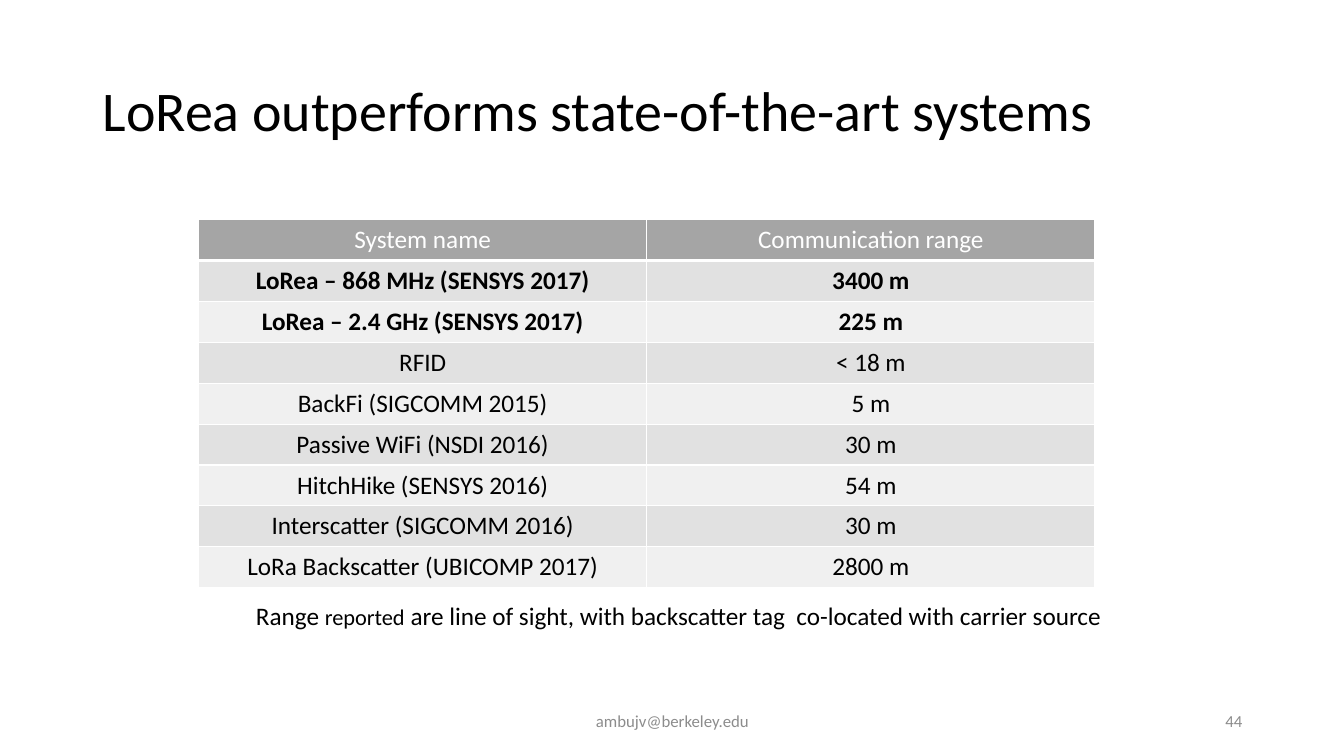
from dataclasses import dataclass

from lxml.etree import SubElement
from pptx import Presentation
from pptx.dml.color import RGBColor
from pptx.enum.text import MSO_ANCHOR, PP_ALIGN
from pptx.oxml.ns import qn
from pptx.util import Inches, Pt


@dataclass(frozen=True)
class Theme:
    font: str = "Calibri"
    ink: str = "000000"
    paper: str = "FFFFFF"
    muted: str = "8C8C8C"
    header: str = "A5A5A5"
    bands: tuple = ("E1E1E1", "F0F0F0")
    title_size: int = 40
    body_size: int = 18
    small_size: int = 16
    footer_size: int = 12
    rule: int = 1
    header_rule: int = 3


THEME = Theme()

SYSTEMS = [
    ("System name", "Communication range"),
    ("LoRea – 868 MHz (SENSYS 2017)", "3400 m"),
    ("LoRea – 2.4 GHz (SENSYS 2017)", "225 m"),
    ("RFID", "< 18 m"),
    ("BackFi (SIGCOMM 2015)", "5 m"),
    ("Passive WiFi (NSDI 2016)", "30 m"),
    ("HitchHike (SENSYS 2016)", "54 m"),
    ("Interscatter (SIGCOMM 2016)", "30 m"),
    ("LoRa Backscatter (UBICOMP 2017)", "2800 m"),
]
OWN_ROWS = (1, 2)


def style(paragraph, size, color, align=PP_ALIGN.LEFT, bold=False):
    paragraph.alignment = align
    font = paragraph.font
    font.name = THEME.font
    font.size = Pt(size)
    font.bold = bold
    font.color.rgb = RGBColor.from_string(color)


def add_text(slide, box, text, size, color, align=PP_ALIGN.LEFT, anchor=MSO_ANCHOR.MIDDLE):
    frame = slide.shapes.add_textbox(*map(Inches, box)).text_frame
    frame.word_wrap = True
    frame.vertical_anchor = anchor
    paragraph = frame.paragraphs[0]
    paragraph.text = text
    style(paragraph, size, color, align)
    return paragraph


def add_borders(cell, bottom):
    properties = cell._tc.get_or_add_tcPr()
    sides = {"lnL": THEME.rule, "lnR": THEME.rule, "lnT": THEME.rule, "lnB": bottom}
    for side, width in sides.items():
        line = SubElement(properties, qn(f"a:{side}"), w=str(Pt(width)))
        fill = SubElement(line, qn("a:solidFill"))
        SubElement(fill, qn("a:srgbClr"), val=THEME.paper)


def add_title(slide, box):
    title = add_text(slide, box, "LoRea outperforms state-of-the-art systems",
                     THEME.title_size, THEME.ink)
    title.line_spacing = 0.9


def add_range_table(slide, box):
    left, top, width, height = map(Inches, box)
    table = slide.shapes.add_table(len(SYSTEMS), len(SYSTEMS[0]), left, top, width, height).table
    for row_index, system in enumerate(SYSTEMS):
        is_header = row_index == 0
        background = THEME.header if is_header else THEME.bands[(row_index - 1) % 2]
        for column_index, text in enumerate(system):
            cell = table.cell(row_index, column_index)
            add_borders(cell, THEME.header_rule if is_header else THEME.rule)
            cell.fill.solid()
            cell.fill.fore_color.rgb = RGBColor.from_string(background)
            cell.text = text
            style(cell.text_frame.paragraphs[0], THEME.body_size,
                  THEME.paper if is_header else THEME.ink,
                  PP_ALIGN.CENTER, row_index in OWN_ROWS)


def add_range_note(slide, box):
    note = add_text(slide, box, "Range ", THEME.body_size, THEME.ink, anchor=MSO_ANCHOR.TOP)
    reported = note.add_run()
    reported.text = "reported"
    reported.font.size = Pt(THEME.small_size)
    note.add_run().text = " are line of sight, with backscatter tag  co-located with carrier source"


def add_footer(slide, box):
    left, top, width, height = box
    number_width = 3
    add_text(slide, (left, top, 4.5, height), "ambujv@berkeley.edu",
             THEME.footer_size, THEME.muted, PP_ALIGN.CENTER)
    add_text(slide, (left + width - number_width, top, number_width, height), "44",
             THEME.footer_size, THEME.muted, PP_ALIGN.RIGHT)


def main():
    deck = Presentation()
    deck.slide_width = Inches(13.33)
    deck.slide_height = Inches(7.5)
    slide = deck.slides.add_slide(deck.slide_layouts[6])
    add_title(slide, (0.92, 0.4, 12.25, 1.45))
    add_range_table(slide, (1.97, 2.18, 8.89, 3.65))
    add_range_note(slide, (2.44, 5.91, 8.67, 0.4))
    add_footer(slide, (4.42, 6.95, 8, 0.4))
    deck.save("out.pptx")


if __name__ == "__main__":
    main()
